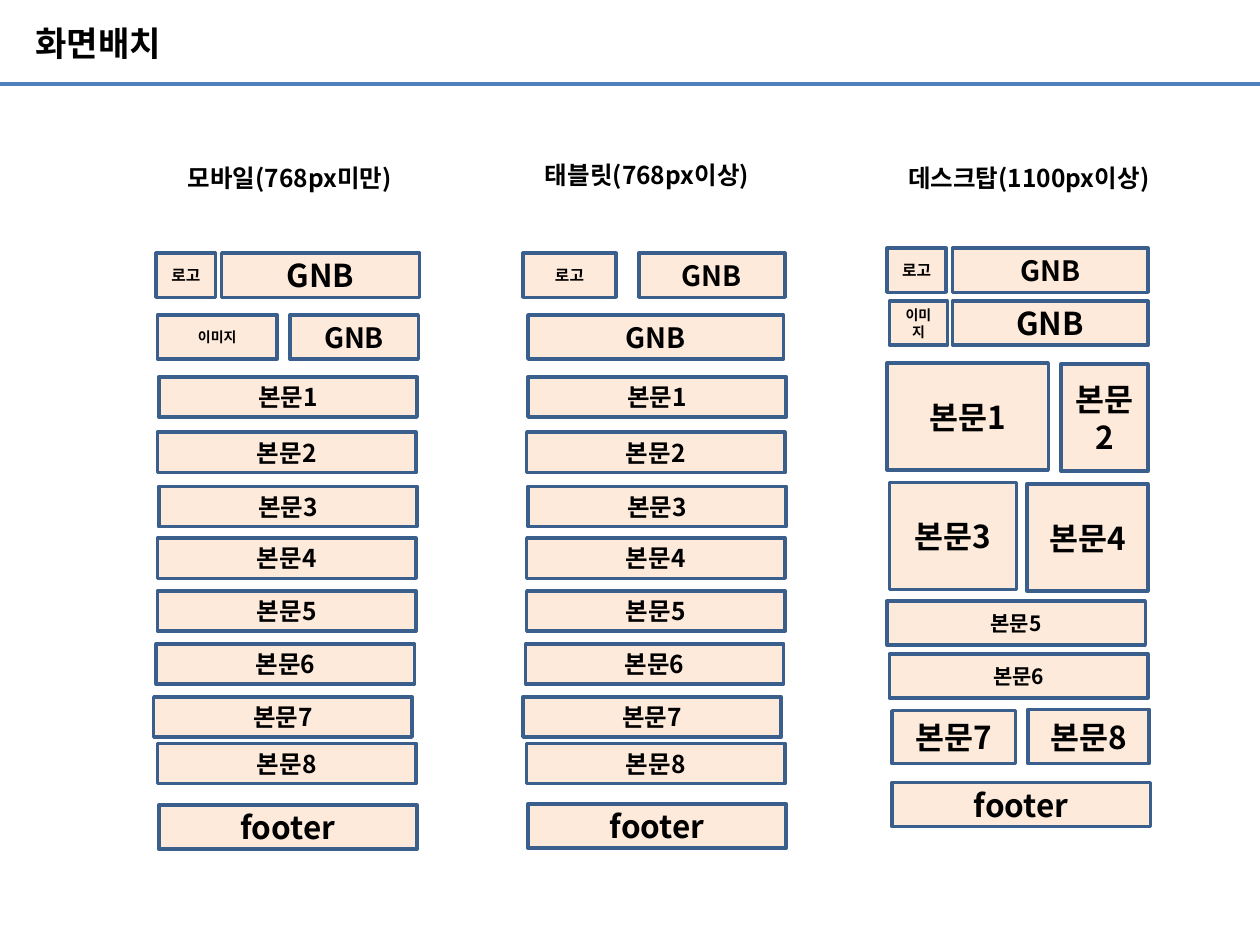
import pptx
import pptx.dml.color
import pptx.enum.shapes
import pptx.enum.text
import pptx.oxml.ns
import pptx.util
from lxml import etree

Inches = pptx.util.Inches
ALIGN = pptx.enum.text.PP_ALIGN
BLACK = pptx.dml.color.RGBColor(0x00, 0x00, 0x00)
PEACH = pptx.dml.color.RGBColor(0xFD, 0xEA, 0xDA)
NAVY = pptx.dml.color.RGBColor(0x3A, 0x5F, 0x8C)
BLUE = pptx.dml.color.RGBColor(0x4F, 0x81, 0xBD)
KOREAN_FONT = "Noto Sans CJK KR"

TITLE = "화면배치"
HEADINGS = [
    ("모바일(768px미만)", 1.34, 1.21, 1.92),
    ("태블릿(768px이상)", 4.05, 1.19, 2.17),
    ("데스크탑(1100px이상)", 7.01, 1.21, 2.31),
]
BAR_HEIGHT = 0.35
FULL_WIDTH = 2.05
BARS = [
    ("로고", 1.24, 2.01, 0.47, 9),
    ("GNB", 1.76, 2.01, 1.57, 18),
    ("이미지", 1.25, 2.5, 0.95, 8),
    ("GNB", 2.3, 2.5, 1.02, 16),
    ("footer", 1.26, 6.39, FULL_WIDTH, 18),
    ("로고", 4.15, 2.01, 0.74, 9),
    ("GNB", 5.07, 2.01, 1.16, 16),
    ("GNB", 4.19, 2.5, 2.03, 16),
    ("footer", 4.19, 6.38, FULL_WIDTH, 18),
    ("로고", 7.04, 1.97, 0.47, 9),
    ("GNB", 7.56, 1.97, 1.55, 16),
    ("이미지", 7.06, 2.39, 0.46, 8),
    ("GNB", 7.56, 2.39, 1.55, 18),
    ("본문5", 7.04, 4.77, FULL_WIDTH, 12),
    ("본문6", 7.06, 5.19, FULL_WIDTH, 12),
    ("footer", 7.08, 6.21, FULL_WIDTH, 18),
]
DESKTOP_PANELS = [
    ("본문1", 7.04, 2.88, 1.28, 0.85),
    ("본문2", 8.42, 2.89, 0.69, 0.85),
    ("본문3", 7.06, 3.83, 1.01, 0.85),
    ("본문4", 8.15, 3.84, 0.96, 0.85),
    ("본문7", 7.08, 5.64, 0.98, 0.42),
    ("본문8", 8.16, 5.63, 0.96, 0.43),
]
STACK_LEFTS = [1.25, 4.18]
STACK_ROWS = [
    ("본문1", 0.01, 2.99),
    ("본문2", 0, 3.43),
    ("본문3", 0.01, 3.86),
    ("본문4", 0, 4.27),
    ("본문5", 0, 4.69),
    ("본문6", -0.01, 5.11),
    ("본문7", -0.03, 5.53),
    ("본문8", 0, 5.9),
]
STACK_HEIGHT = 0.32


def write(frame, text, size=14, font=KOREAN_FONT, align=ALIGN.CENTER):
    frame.word_wrap = True
    frame.auto_size = pptx.enum.text.MSO_AUTO_SIZE.NONE
    frame.vertical_anchor = pptx.enum.text.MSO_ANCHOR.MIDDLE
    paragraph = frame.paragraphs[0]
    paragraph.alignment = align
    run = paragraph.add_run()
    run.text = text
    run.font.size = pptx.util.Pt(size)
    run.font.bold = True
    run.font.color.rgb = BLACK
    run.font.name = font
    east_asian = etree.SubElement(run.font._element, pptx.oxml.ns.qn("a:ea"))
    east_asian.set("typeface", KOREAN_FONT)


def add_block(slide, text, left, top, width, height, size):
    block = slide.shapes.add_shape(
        pptx.enum.shapes.MSO_SHAPE.RECTANGLE,
        Inches(left), Inches(top), Inches(width), Inches(height))
    block.shadow.inherit = False
    block.fill.solid()
    block.fill.fore_color.rgb = PEACH
    block.line.color.rgb = NAVY
    block.line.width = pptx.util.Pt(2)
    write(block.text_frame, text, size=size)


def main():
    deck = pptx.Presentation()
    deck.slide_width, deck.slide_height = Inches(10), Inches(7.5)
    slide = deck.slides.add_slide(deck.slide_layouts.get_by_name("Title Only"))

    rule = slide.shapes.add_connector(
        pptx.enum.shapes.MSO_CONNECTOR.STRAIGHT,
        Inches(0), Inches(0.67), Inches(10), Inches(0.67))
    rule.line.color.rgb = BLUE
    rule.line.width = pptx.util.Pt(2.25)
    etree.SubElement(rule._element.spPr, pptx.oxml.ns.qn("a:effectLst"))

    title = slide.shapes.title
    title.left, title.top = Inches(0.28), Inches(0)
    title.width, title.height = Inches(6.54), Inches(0.68)
    frame = title.text_frame
    frame.margin_left = frame.margin_right = frame.margin_top = frame.margin_bottom = 0
    write(frame, TITLE, size=19.5, font="Arial", align=ALIGN.LEFT)

    for text, left, top, width in HEADINGS:
        heading = slide.shapes.add_textbox(
            Inches(left), Inches(top), Inches(width), Inches(0.4))
        write(heading.text_frame, text)

    for text, left, top, width, size in BARS:
        add_block(slide, text, left, top, width, BAR_HEIGHT, size)
    for text, left, top, width, height in DESKTOP_PANELS:
        add_block(slide, text, left, top, width, height, 18)
    for stack_left in STACK_LEFTS:
        for text, shift, top in STACK_ROWS:
            add_block(slide, text, stack_left + shift, top, FULL_WIDTH, STACK_HEIGHT, 14)

    deck.save("out.pptx")


if __name__ == "__main__":
    main()
